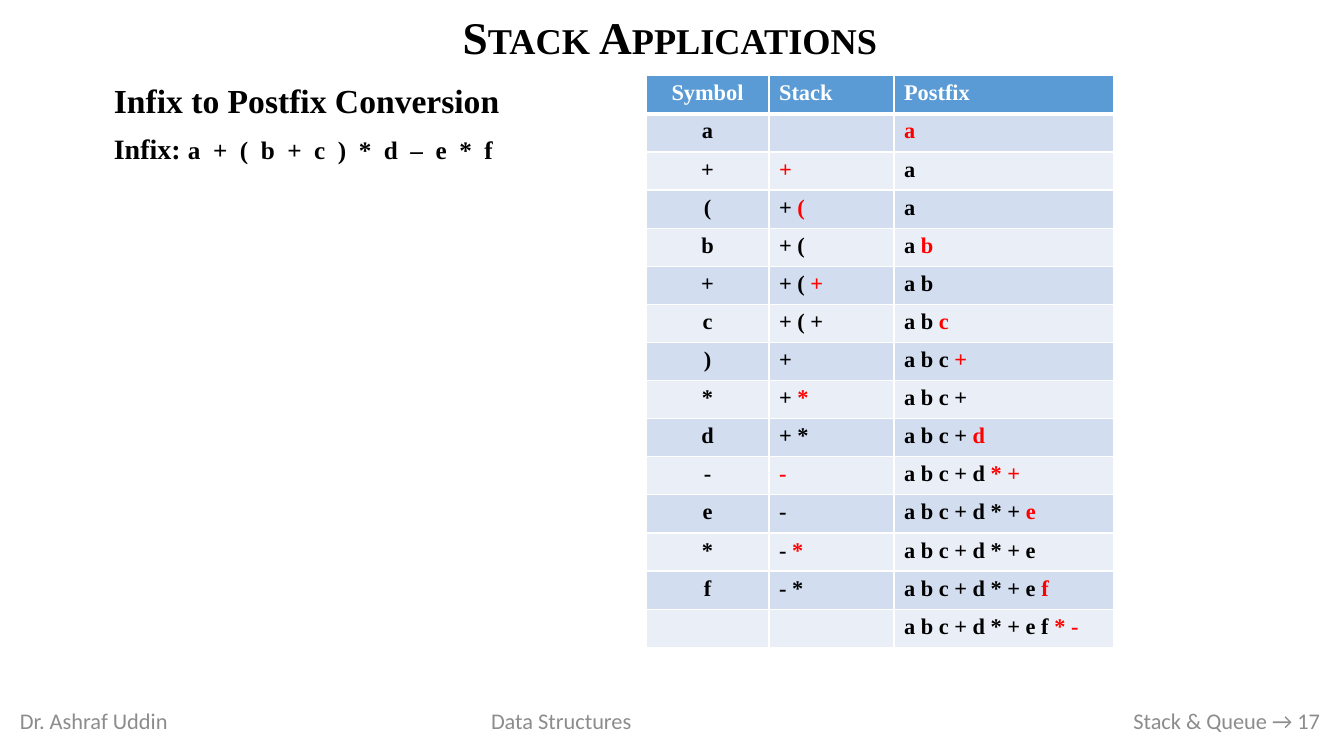
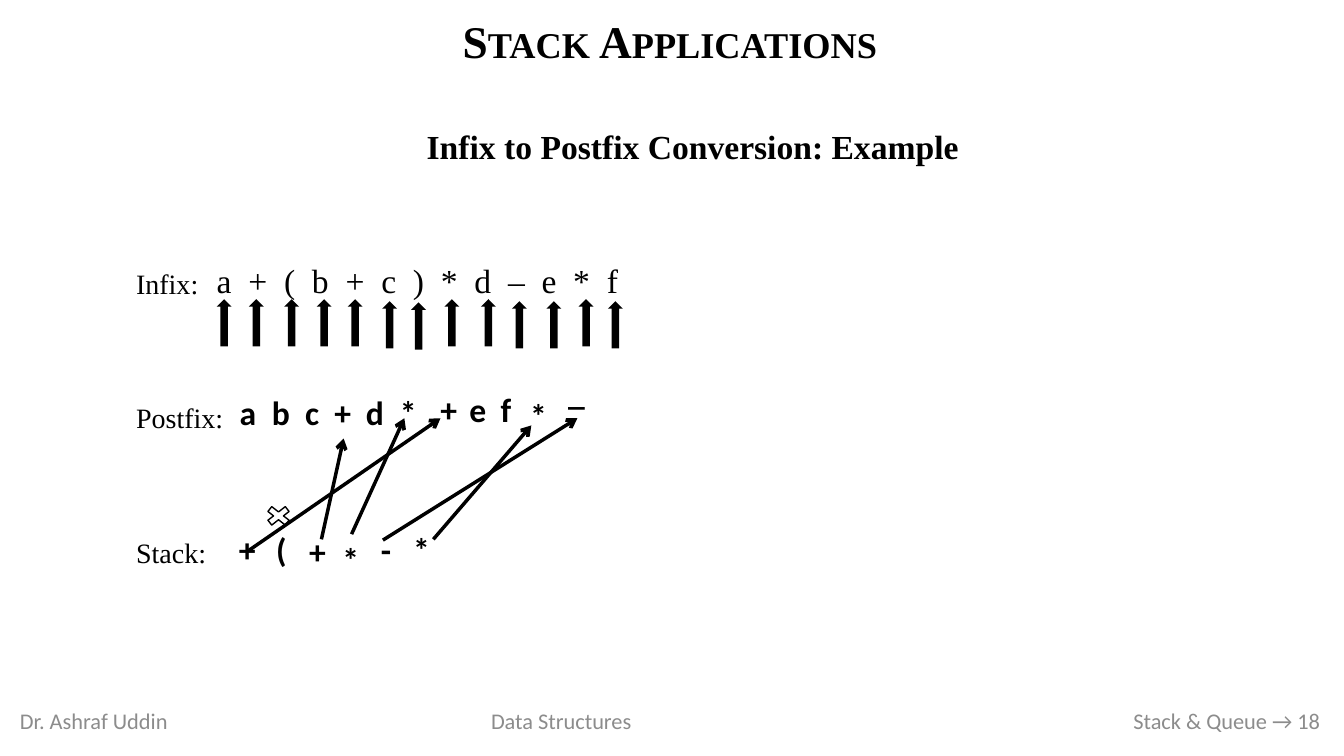
from lxml.etree import SubElement
from pptx import Presentation
from pptx.dml.color import RGBColor
from pptx.enum.shapes import MSO_CONNECTOR as Connector, MSO_SHAPE as Shape
from pptx.enum.text import MSO_ANCHOR as Anchor, PP_ALIGN as Align
from pptx.oxml import parse_xml
from pptx.oxml.ns import nsdecls, qn
from pptx.util import Cm, Pt

COLOURS = {
    "ink": "000000",
    "paper": "FFFFFF",
    "new": "FF0000",
    "footer": "8C8C8C",
    "header": "5B9BD5",
    "odd": "D2DEEF",
    "even": "EAEFF7",
}
SERIF, SANS = "Times New Roman", "Calibri"


def colour(name):
    return RGBColor.from_string(COLOURS[name])


class Lecture:
    """Holds the deck, its style and the slide being filled."""

    def __init__(self):
        self.deck = Presentation()
        self.deck.slide_width, self.deck.slide_height = Cm(33.87), Cm(19.05)
        self.page = None

    def start_page(self, title, title_top, number):
        self.page = self.deck.slides.add_slide(self.deck.slide_layouts[6])
        heading = self.box(0.25, title_top, 33.27, 1.63, Anchor.MIDDLE)
        para = heading.paragraphs[0]
        para.alignment, para.line_spacing = Align.CENTER, 0.9
        self.span(para, title, 32.4, bold=True, cap="small")
        footers = [
            (0.25, 6.12, Align.LEFT, "Dr. Ashraf Uddin"),
            (9.88, 8.53, Align.CENTER, "Data Structures"),
            (19.58, 13.94, Align.RIGHT, f"Stack & Queue → {number}"),
        ]
        for left, width, align, text in footers:
            para = self.box(left, 17.65, width, 1.02, Anchor.MIDDLE).paragraphs[0]
            para.alignment = align
            self.span(para, text, 16, font=SANS, ink="footer")

    def box(self, left, top, width, height, anchor=Anchor.TOP):
        shape = self.page.shapes.add_textbox(Cm(left), Cm(top), Cm(width), Cm(height))
        frame = shape.text_frame
        frame.word_wrap, frame.vertical_anchor = True, anchor
        return frame

    def span(self, para, text, size, font=SERIF, ink="ink", bold=False, **attributes):
        """Add a run; extra attributes such as cap or spc go on its properties."""
        run = para.add_run()
        run.text = text
        run.font.name, run.font.size, run.font.bold = font, Pt(size), bold
        run.font.color.rgb = colour(ink)
        for name, value in attributes.items():
            run._r.get_or_add_rPr().set(name, value)

    def line_of_text(self, left, top, width, text, size, align=Align.LEFT, **style):
        para = self.box(left, top, width, 1.27).paragraphs[0]
        para.alignment = align
        self.span(para, text, size, **style)

    def tokens(self, row):
        for left, top, symbol in row:
            self.line_of_text(left, top, 1.1, symbol, 24, font=SANS, bold=True)

    def shape(self, kind, left, top, width, height, fill, outlined=False):
        shape = self.page.shapes.add_shape(kind, Cm(left), Cm(top), Cm(width), Cm(height))
        shape.shadow.inherit = False
        shape.fill.solid()
        shape.fill.fore_color.rgb = colour(fill)
        if outlined:
            shape.line.color.rgb, shape.line.width = colour("ink"), Pt(1)
        else:
            shape.line.fill.background()

    def arrow(self, *ends):
        link = self.page.shapes.add_connector(Connector.STRAIGHT, *map(Cm, ends))
        link.line.color.rgb, link.line.width = colour("ink"), Pt(2.5)
        SubElement(link.line._get_or_add_ln(), qn("a:tailEnd"), type="arrow")
        SubElement(link._element.spPr, qn("a:effectLst"))

    def borders(self, cell, bottom):
        properties = cell._tc.get_or_add_tcPr()
        sides = {"lnL": 1, "lnR": 1, "lnT": 1, "lnB": bottom}
        for place, (side, width) in enumerate(sides.items()):
            properties.insert(place, parse_xml(
                f'<a:{side} {nsdecls("a")} w="{Pt(width)}"><a:solidFill>'
                f'<a:srgbClr val="{COLOURS["paper"]}"/></a:solidFill></a:{side}>'))

    def table(self, left, top, widths, row_height, rows):
        """Fill a table from cells that are (settled text, newly added text)."""
        table = self.page.shapes.add_table(
            len(rows), len(widths), Cm(left), Cm(top),
            Cm(sum(widths)), Cm(row_height * len(rows))).table
        for column, width in zip(table.columns, widths):
            column.width = Cm(width)
        for r, row in enumerate(rows):
            table.rows[r].height = Cm(row_height)
            fill = "header" if r == 0 else "odd" if r % 2 else "even"
            for c, texts in enumerate(row):
                cell = table.cell(r, c)
                cell.margin_bottom = 0
                cell.fill.solid()
                cell.fill.fore_color.rgb = colour(fill)
                self.borders(cell, bottom=1 if r else 3)
                para = cell.text_frame.paragraphs[0]
                para.alignment = Align.LEFT if c else Align.CENTER
                for text, ink in zip(texts, ("ink" if r else "paper", "new")):
                    if text:
                        self.span(para, text, 16, ink=ink, bold=True)


TITLE = "Stack Applications"
INFIX = "a + ( b + c ) * d – e * f"

CONVERSION = [
    (("Symbol",), ("Stack",), ("Postfix",)),
    (("a",), (), ("", "a")),
    (("+",), ("", "+"), ("a",)),
    (("(",), ("+ ", "("), ("a",)),
    (("b",), ("+ (",), ("a ", "b")),
    (("+",), ("+ ( ", "+"), ("a b",)),
    (("c",), ("+ ( +",), ("a b ", "c")),
    ((")",), ("+",), ("a b c ", "+")),
    (("*",), ("+ ", "*"), ("a b c +",)),
    (("d",), ("+ *",), ("a b c + ", "d")),
    (("-",), ("", "-"), ("a b c + d ", "* +")),
    (("e",), ("-",), ("a b c + d * + ", "e")),
    (("*",), ("- ", "*"), ("a b c + d * + e",)),
    (("f",), ("- *",), ("a b c + d * + e ", "f")),
    ((), (), ("a b c + d * + e f ", "* -")),
]

POSTFIX_TOKENS = [
    (5.79, 9.75, "a"), (6.6, 9.75, "b"), (7.44, 9.75, "c"), (8.18, 9.75, "+"),
    (8.97, 9.75, "d"), (9.83, 9.75, "*"), (10.85, 9.68, "+"), (11.58, 9.68, "e"),
    (12.37, 9.68, "f"), (13.11, 9.83, "*"), (14.07, 9.25, "_"),
]
STACK_TOKENS = [
    (5.77, 13.21, "+"), (6.71, 13.21, "("), (7.54, 13.26, "+"),
    (8.38, 13.46, "*"), (9.35, 13.21, "-"), (10.16, 13.21, "*"),
]
POINTERS = [
    (5.46, 7.54), (6.27, 7.54), (7.16, 7.54), (7.98, 7.54), (8.76, 7.54),
    (9.63, 7.59), (10.36, 7.62), (11.2, 7.54), (12.12, 7.54), (12.9, 7.59),
    (13.77, 7.59), (14.58, 7.54), (15.32, 7.59),
]
POPS = [
    (8.1, 13.59, 8.66, 11.05),
    (8.86, 13.46, 10.19, 10.54),
    (6.27, 13.87, 11.1, 10.54),
    (10.92, 13.59, 13.39, 10.72),
    (9.65, 13.61, 14.55, 10.54),
]


def conversion_table(lecture):
    lecture.start_page(TITLE, 0.18, 17)
    body = lecture.box(2.62, 1.88, 13, 3)
    heading = body.paragraphs[0]
    heading.space_after = Pt(4)
    lecture.span(heading, "Infix to Postfix Conversion", 24, bold=True)
    formula = body.add_paragraph()
    formula.space_before = Pt(4)
    lecture.span(formula, "Infix: ", 20, bold=True)
    lecture.span(formula, INFIX, 18, bold=True, spc="225")
    lecture.table(16.28, 1.91, (3.1, 3.15, 5.54), 0.96, CONVERSION)


def conversion_example(lecture):
    lecture.start_page(TITLE, 0.28, 18)
    lecture.line_of_text(3.18, 3.05, 28.55, "Infix to Postfix Conversion: Example",
                         24, Align.CENTER, bold=True)
    for row, label in enumerate(("Infix:", "Postfix:", "Stack:")):
        lecture.line_of_text(3.18, 6.58 + 3.4 * row, 3, label, 20)
    lecture.line_of_text(5.21, 6.43, 12, INFIX, 24, spc="300")
    for left, top in POINTERS:
        lecture.shape(Shape.UP_ARROW, left, top, 0.38, 1.19, "ink")
    lecture.tokens(POSTFIX_TOKENS + STACK_TOKENS)
    lecture.shape(Shape.MATH_MULTIPLY, 6.6, 12.67, 0.84, 0.66, "paper", outlined=True)
    for ends in POPS:
        lecture.arrow(*ends)


def main():
    lecture = Lecture()
    conversion_table(lecture)
    conversion_example(lecture)
    lecture.deck.save("out.pptx")


if __name__ == "__main__":
    main()
